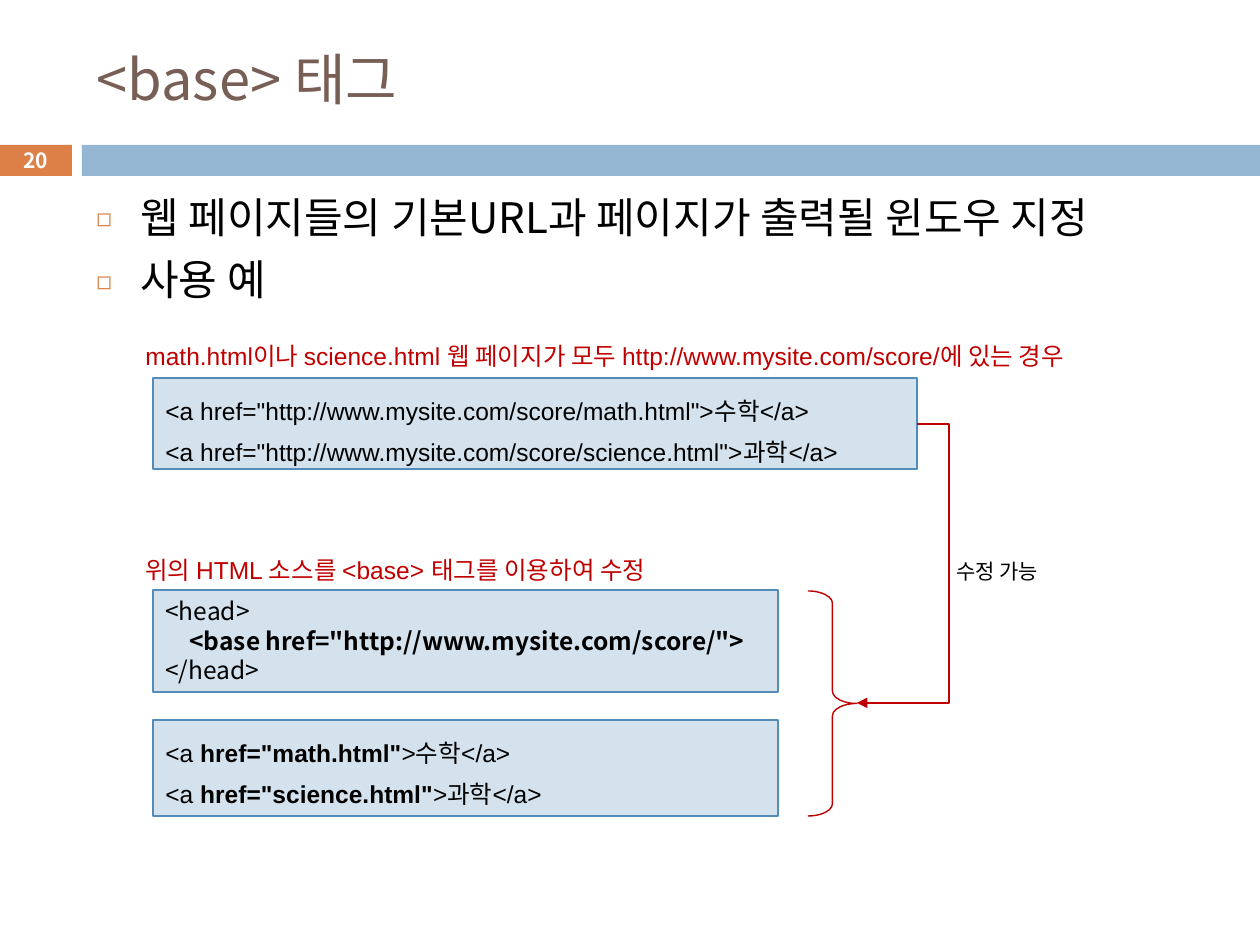
from lxml import etree
from pptx import Presentation
from pptx.dml.color import RGBColor
from pptx.enum.shapes import MSO_CONNECTOR, MSO_SHAPE
from pptx.enum.text import MSO_ANCHOR, PP_ALIGN
from pptx.oxml.ns import qn
from pptx.util import Emu, Pt

EMU_PER_PX = 914400 / 126
RECTANGLE, BRACE = MSO_SHAPE.RECTANGLE, MSO_SHAPE.RIGHT_BRACE
ELBOW = MSO_CONNECTOR.ELBOW
TOP, MIDDLE = MSO_ANCHOR.TOP, MSO_ANCHOR.MIDDLE
LEFT, CENTER = PP_ALIGN.LEFT, PP_ALIGN.CENTER

BLACK = RGBColor(0x00, 0x00, 0x00)
WHITE = RGBColor(0xFF, 0xFF, 0xFF)
BROWN = RGBColor(0x77, 0x5F, 0x55)
ORANGE = RGBColor(0xDD, 0x80, 0x47)
BLUE = RGBColor(0x94, 0xB6, 0xD2)
PALE_BLUE = RGBColor(0xD4, 0xE2, 0xED)
EDGE_BLUE = RGBColor(0x55, 0x8B, 0xB8)
RED = RGBColor(0xC0, 0x00, 0x00)
SANS, KOREAN = "Arial", "Noto Sans CJK KR"


def px(length):
    return Emu(round(length * EMU_PER_PX))


def write(shape, lines, size=14, font=SANS, color=BLACK, bold=False, align=LEFT,
          anchor=TOP, wrap=True, line_spacing=None, space_before=0):
    """Each line is a string or a list of (text, bold) runs."""
    frame = shape.text_frame
    frame.word_wrap = wrap
    frame.vertical_anchor = anchor
    for index, line in enumerate(lines):
        paragraph = frame.add_paragraph() if index else frame.paragraphs[0]
        paragraph.alignment = align
        paragraph.space_before = Pt(space_before)
        if line_spacing:
            paragraph.line_spacing = line_spacing
        for text, run_bold in [(line, bold)] if isinstance(line, str) else line:
            run = paragraph.add_run()
            run.text = text
            run.font.size = Pt(size)
            run.font.name = font
            run.font.bold = run_bold
            run.font.color.rgb = color
            east_asian = etree.SubElement(run.font._element, qn("a:ea"))
            east_asian.set("typeface", KOREAN)
    return frame


def add_text(slide, box, lines, **text_format):
    text_box = slide.shapes.add_textbox(*map(px, box))
    return write(text_box, lines, **text_format)


def add_rectangle(slide, box, fill, line=None):
    shape = slide.shapes.add_shape(RECTANGLE, *map(px, box))
    shape.shadow.inherit = False
    shape.fill.solid()
    shape.fill.fore_color.rgb = fill
    if line is None:
        shape.line.fill.background()
    else:
        shape.line.color.rgb = line
        shape.line.width = Pt(0.75)
    return shape


def indent(paragraph, margin, first_line=0):
    properties = paragraph._p.get_or_add_pPr()
    properties.set("marL", str(px(margin)))
    properties.set("indent", str(px(first_line)))
    return properties


def add_header(slide, box, title, number):
    left, top, width, height = box
    number_width, gap, bar_height = 73, 10, 31
    bar_top = top + height - bar_height
    bar_left = left + number_width + gap
    add_rectangle(slide, (left, bar_top, number_width, bar_height), ORANGE)
    add_rectangle(slide, (bar_left, bar_top, left + width - bar_left, bar_height), BLUE)
    add_text(slide, (left, bar_top - 2, number_width, bar_height + 3), [number],
             size=12, font=KOREAN, color=WHITE, bold=True, align=CENTER, anchor=MIDDLE)
    placeholder = slide.shapes.title
    placeholder.left, placeholder.top = px(left + 85), px(top + 32)
    placeholder.width, placeholder.height = px(1124), px(93)
    write(placeholder, [title], size=32, font=KOREAN, color=BROWN, anchor=MIDDLE)


def add_bullets(slide, box, lines):
    frame = add_text(slide, box, lines, size=24, font=KOREAN, space_before=7)
    for paragraph in frame.paragraphs:
        properties = indent(paragraph, 44, -44)
        color = etree.SubElement(properties, qn("a:buClr"))
        etree.SubElement(color, qn("a:srgbClr")).set("val", str(ORANGE))
        etree.SubElement(properties, qn("a:buSzPct")).set("val", "60000")
        etree.SubElement(properties, qn("a:buFont")).set("typeface", KOREAN)
        etree.SubElement(properties, qn("a:buChar")).set("char", "◻")


def add_code(slide, box, lines, **text_format):
    shape = add_rectangle(slide, box, PALE_BLUE, EDGE_BLUE)
    write(shape, lines, **text_format)
    return shape


def add_brace(slide, box):
    brace = slide.shapes.add_shape(BRACE, *map(px, box))
    brace.shadow.inherit = False
    brace.fill.background()
    brace.line.color.rgb = RED
    brace.line.width = Pt(0.8)
    brace.adjustments[0] = 0.25


def add_elbow_arrow(slide, start, end, reach):
    """Leave start to the right by reach, then come back left into end."""
    arrow = slide.shapes.add_connector(ELBOW, *map(px, start + end))
    arrow.line.color.rgb = RED
    arrow.line.width = Pt(0.8)
    etree.SubElement(arrow.line._get_or_add_ln(), qn("a:tailEnd")).set("type", "triangle")
    properties = arrow._element.spPr
    etree.SubElement(properties, qn("a:effectLst"))
    guide = etree.SubElement(properties.find(qn("a:prstGeom")).find(qn("a:avLst")), qn("a:gd"))
    guide.set("name", "adj1")
    guide.set("fmla", f"val {round(-100000 * reach / (start[0] - end[0]))}")


def add_example(slide, box):
    left, top, width, height = box
    code_left, code_width = left + 20, 625
    caption_format = {"color": RED, "line_spacing": 1.6}
    add_text(slide, (left, top, width, 54),
             ["math.html이나 science.html 웹 페이지가 모두 "
              "http://www.mysite.com/score/에 있는 경우"], **caption_format)
    add_text(slide, (left, top + 214, width, 60),
             ["위의 HTML 소스를 <base> 태그를 이용하여 수정"], **caption_format)

    pages = [("math", "수학"), ("science", "과학")]
    add_code(slide, (code_left, top + 61, 764, 91),
             [f'<a href="http://www.mysite.com/score/{page}.html">{label}</a>'
              for page, label in pages], line_spacing=1.4)
    head = add_code(slide, (code_left, top + 273, code_width, 102),
                    ["<head>", [('<base href="http://www.mysite.com/score/">', True)],
                     "</head>"], font=KOREAN)
    indent(head.text_frame.paragraphs[1], 24)
    add_code(slide, (code_left, top + 403, code_width, height - 403),
             [[("<a ", False), (f'href="{page}.html"', True), (f">{label}</a>", False)]
              for page, label in pages], line_spacing=1.4)

    brace_left, brace_top, brace_width = left + 675, top + 274, 49
    brace_height = height - 274
    add_brace(slide, (brace_left, brace_top, brace_width, brace_height))
    add_elbow_arrow(slide, (code_left + 764, top + 107),
                    (brace_left + brace_width, brace_top + brace_height // 2), 32)
    add_text(slide, (left + 811, top + 235, 117, 38), ["수정 가능"],
             size=12, font=KOREAN, wrap=False)


def main():
    presentation = Presentation()
    presentation.slide_width, presentation.slide_height = px(1260), px(945)
    slide = presentation.slides.add_slide(presentation.slide_layouts[5])
    add_header(slide, (-1, 0, 1261, 176), "<base> 태그", "20")
    add_bullets(slide, (84, 185, 1124, 130),
                ["웹 페이지들의 기본URL과 페이지가 출력될 윈도우 지정", "사용 예"])
    add_example(slide, (133, 317, 1052, 499))
    presentation.save("out.pptx")


if __name__ == "__main__":
    main()
